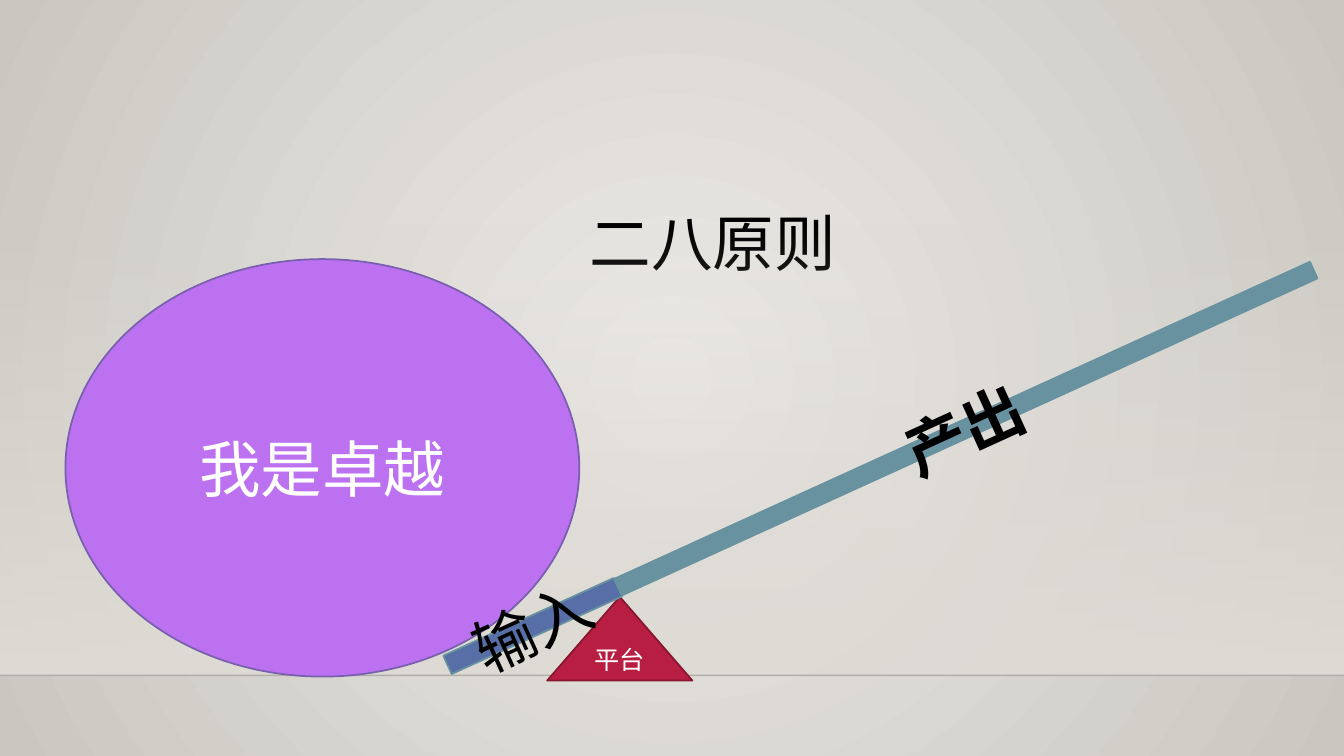
import math
import dataclasses
import pptx
import pptx.util
import pptx.oxml
import pptx.oxml.ns
import pptx.dml.color
import pptx.enum.shapes
import pptx.enum.text

Cm = pptx.util.Cm
Pt = pptx.util.Pt
Kind = pptx.enum.shapes.MSO_SHAPE
Align = pptx.enum.text.PP_ALIGN
Mid = pptx.enum.text.MSO_ANCHOR.MIDDLE
qn = pptx.oxml.ns.qn
NS = pptx.oxml.ns.nsdecls("a")


@dataclasses.dataclass(frozen=True)
class Theme:
    glow: str = "ECEAE7"
    edge: str = "CAC7C1"
    haze: str = "DFDBD5"
    floor: str = "000001"
    ball: str = "BC72F0"
    rim: str = "795FAF"
    base: str = "B71E42"
    trim: str = "871631"
    steel: str = "6892A0"
    blue: str = "586EA6"
    white: str = "FFFFFF"
    black: str = "000000"
    font: str = "Calibri"
    bold: str = "Noto Sans CJK SC"
    big: int = 44
    small: int = 18
    line: float = 1.25


theme = Theme()


def rgb(code):
    return pptx.dml.color.RGBColor.from_string(code)


def fade(color, share):
    color.append(pptx.oxml.parse_xml(f'<a:alpha {NS} val="{share * 1000}"/>'))


def blend(fill, first, last):
    fill.gradient()
    for stop, place, code in zip(fill.gradient_stops, (0, 1), (first, last)):
        stop.position = place
        stop.color.rgb = rgb(code)


def style(frame, text, size, color, font=theme.font, align=Align.CENTER, bold=False):
    para = frame.paragraphs[0]
    para.text = text
    para.alignment = align
    para.font.size = Pt(size)
    para.font.name = font
    para.font.bold = bold
    para.font.color.rgb = rgb(color)


def block(slide, kind, box, fill, line):
    shape = slide.shapes.add_shape(kind, *map(Cm, box))
    shape.shadow.inherit = False
    shape.fill.solid()
    shape.fill.fore_color.rgb = rgb(fill)
    shape.line.color.rgb = rgb(line)
    shape.line.width = Pt(theme.line)
    shape.text_frame.word_wrap = True
    shape.text_frame.vertical_anchor = Mid
    return shape


def stage(slide, box):
    left, top, width, height = box
    blend(slide.background.fill, theme.glow, theme.edge)
    lin = next(slide.element.iter(qn("a:lin")))
    lin.getparent().replace(lin, pptx.oxml.parse_xml(
        f'<a:path {NS} path="circle">'
        '<a:fillToRect l="50000" t="50000" r="50000" b="50000"/></a:path>'))

    haze = block(slide, Kind.RECTANGLE, box, theme.haze, theme.haze)
    haze.line.fill.background()
    blend(haze.fill, theme.haze, theme.haze)
    haze.fill.gradient_angle = 270
    fade(next(haze.element.iter(qn("a:srgbClr"))), 0)

    low = top + height
    floor = slide.shapes.add_connector(
        pptx.enum.shapes.MSO_CONNECTOR.STRAIGHT,
        Cm(left), Cm(low), Cm(left + width), Cm(low))
    floor.line.width = Pt(1)
    floor.line.color.rgb = rgb(theme.floor)
    fade(next(floor.element.iter(qn("a:srgbClr"))), 20)
    floor.element.spPr.append(pptx.oxml.parse_xml(f"<a:effectLst {NS}/>"))


def ball(slide, box):
    shape = block(slide, Kind.OVAL, box, theme.ball, theme.rim)
    style(shape.text_frame, "我是卓越", theme.big, theme.white)


def lever(slide, box):
    left, top, width, height = box
    wide, tall = 3.66, 2.11
    base = block(slide, Kind.ISOSCELES_TRIANGLE,
                 (left + 2.72, top + height - tall, wide, tall),
                 theme.base, theme.trim)
    style(base.text_frame, "平台", theme.small, theme.white)

    tilt = 24.5
    turn = math.radians(tilt)
    hub = left + 4.43, top + 8.33
    arms = (
        ("产出", 0, 19.35, 0.46, theme.steel, theme.bold, True),
        ("输入", -4.64, 0.08, 0.51, theme.blue, theme.font, False),
    )
    for text, start, end, thick, fill, font, bold in arms:
        span, mid = end - start, (start + end) / 2
        x = hub[0] + mid * math.cos(turn) - span / 2
        y = hub[1] - mid * math.sin(turn) - thick / 2
        arm = block(slide, Kind.RECTANGLE, (x, y, span, thick), fill, theme.steel)
        arm.rotation = 360 - tilt
        style(arm.text_frame, text, theme.big, theme.black, font, bold=bold)


def title(slide, box):
    shape = slide.shapes.title
    shape.left, shape.top, shape.width, shape.height = map(Cm, box)
    frame = shape.text_frame
    frame.word_wrap = False
    frame.auto_size = pptx.enum.text.MSO_AUTO_SIZE.SHAPE_TO_FIT_TEXT
    frame.vertical_anchor = pptx.enum.text.MSO_ANCHOR.TOP
    style(frame, "二八原则", theme.big, theme.black, align=Align.LEFT)


deck = pptx.Presentation()
deck.slide_width, deck.slide_height = Cm(33.87), Cm(19.05)
slide = deck.slides.add_slide(deck.slide_layouts.get_by_name("Title Only"))
stage(slide, (0, 5.61, 33.87, 11.41))
ball(slide, (1.65, 6.53, 12.95, 10.52))
lever(slide, (11.07, 6.5, 22.3, 10.65))
title(slide, (14.61, 5.03, 6.78, 2.13))
deck.save("out.pptx")
